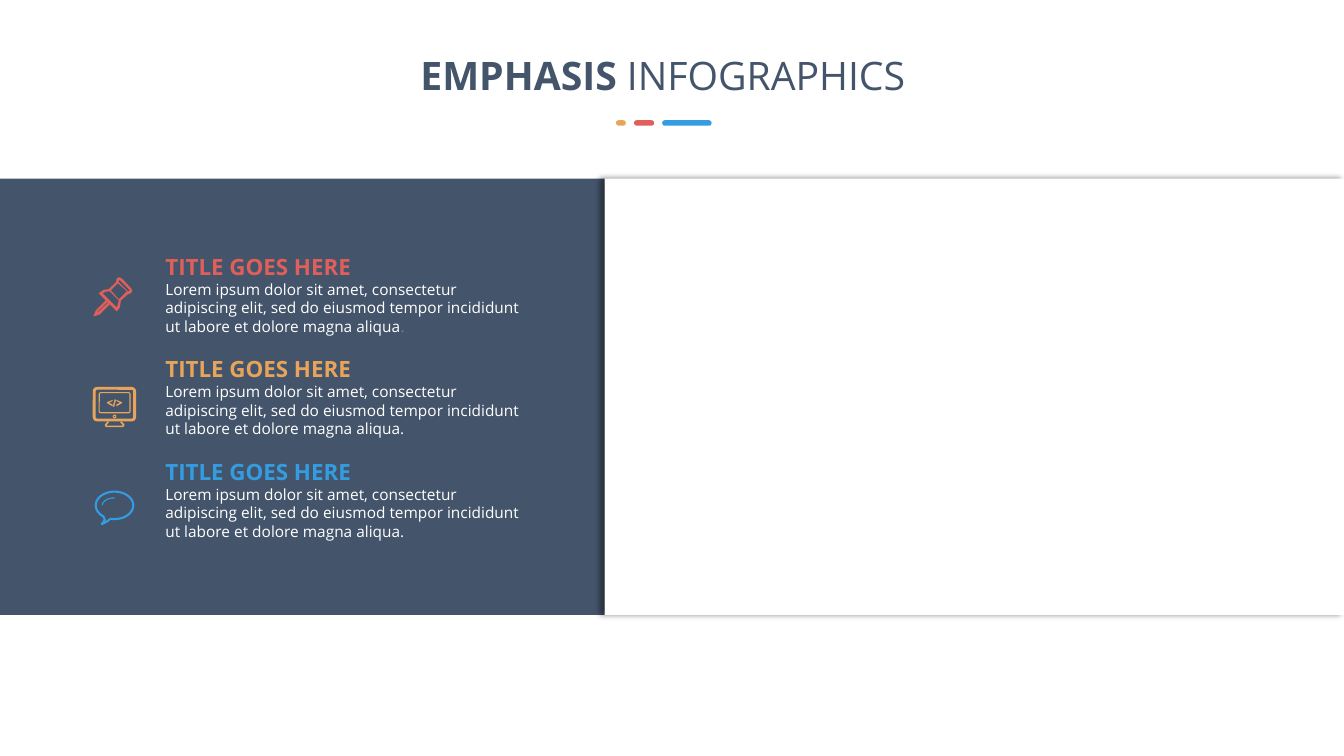
from copy import deepcopy
from dataclasses import dataclass
from math import cos, radians, sin

from lxml import etree
from pptx import Presentation
from pptx.dml.color import RGBColor
from pptx.enum.shapes import MSO_SHAPE
from pptx.enum.text import MSO_ANCHOR, MSO_AUTO_SIZE, PP_ALIGN
from pptx.oxml.ns import qn
from pptx.util import Pt

RECT, ROUND, OVAL = MSO_SHAPE.RECTANGLE, MSO_SHAPE.ROUNDED_RECTANGLE, MSO_SHAPE.OVAL
MIDDLE, CENTER, FIXED = MSO_ANCHOR.MIDDLE, PP_ALIGN.CENTER, MSO_AUTO_SIZE.NONE
FACE = "Open Sans"
HUES = {"slate": "44546A", "white": "FFFFFF", "red": "DF5F5A",
        "amber": "E8A45B", "blue": "349DE1", "grey": "808080", "black": "000000"}
LOREM = ("Lorem ipsum dolor sit amet, consectetur adipiscing elit, "
         "sed do eiusmod tempor incididunt ut labore et dolore magna aliqua")
Dots = list[tuple[float, float]]


@dataclass
class Item:
    hue: str
    stop: str  # colour of the closing full stop


@dataclass
class Bar:
    left: float
    width: float
    hue: str


ITEMS = [Item("red", "grey"), Item("amber", "white"), Item("blue", "white")]
BARS = [Bar(473, 35.3, "blue"), Bar(452.9, 14.4, "red"), Bar(440, 7, "amber")]

PIN = [
    [(20.2, 16.6), (25.2, 12.2), (27.4, 11.5), (28.4, 9.7), (27.4, 7.9), (20.9, 0.9),
     (19.1, 0.1), (17.3, 0.7), (16.6, 3.6), (11.5, 8.6), (7.9, 9), (4.3, 11.5),
     (9.4, 16.6), (2.2, 23.8), (0.4, 28.1), (5, 26.6), (12.2, 19.4), (17.3, 24.5),
     (19.4, 21.6)],
    [(19.4, 2.2), (26.6, 9.4), (25.2, 10.1), (18.7, 3.6), (18.4, 2.5)],
    [(18.7, 15.8), (13, 9.4), (18, 4.3), (24.5, 10.1)],
    [(3.6, 25.2), (3.6, 24.5), (10.8, 17.6), (11.2, 18)],
    [(13.7, 18), (7.2, 11.5), (9.4, 10.4), (12.2, 10.1), (18.7, 16.6), (17.3, 21.6)],
]
STAND = [(77.4, 301.2), (75.4, 303.6), (76, 304.6), (87.7, 304.6), (88.4, 303.6), (86.2, 301.2)]
ANGLE = [(76.5, 288), (80.4, 290.2), (80.4, 288.9), (77.8, 287.6),
         (80.4, 286.5), (80.4, 285.7), (76.5, 287.2)]
SLASH = [(82.4, 285.3), (81.1, 290.5)]
TAIL = [(76.3, 372.6), (72.7, 374.4), (74.9, 371.5)]


def tint(name: str) -> RGBColor:
    return RGBColor.from_string(HUES[name])


def paint(shape, hue: str, weight: float = 0):
    """Fill the shape, or only stroke it when a weight is given."""
    shape.shadow.inherit = False
    if weight:
        shape.fill.background()
        shape.line.color.rgb = tint(hue)
        shape.line.width = Pt(weight)
    else:
        shape.fill.solid()
        shape.fill.fore_color.rgb = tint(hue)
        shape.line.fill.background()
    return shape


def block(shapes, kind, box: tuple, hue: str, weight: float = 0, bend: float = 0):
    shape = shapes.add_shape(kind, *(Pt(n) for n in box))
    if kind == ROUND:
        shape.adjustments[0] = bend
    return paint(shape, hue, weight)


def sketch(shapes, loops: list[Dots], hue: str, weight: float = 0, shut: bool = True):
    """Draw one outline from several loops; inner loops become holes."""
    pen = None
    for loop in loops:
        spots = [(Pt(x), Pt(y)) for x, y in loop]
        if pen is None:
            pen = shapes.build_freeform(*spots[0])
        else:
            pen.move_to(*spots[0])
        pen.add_line_segments(spots[1:], close=shut)
    return paint(pen.convert_to_shape(), hue, weight)


def arc(mid: tuple, radii: tuple, start: int, end: int) -> Dots:
    return [(mid[0] + radii[0] * cos(radians(a)), mid[1] + radii[1] * sin(radians(a)))
            for a in range(start, end + 1, 6)]


def write(para, text: str, size: float, hue: str, bold: bool = False):
    run = para.add_run()
    run.text = text
    run.font.name, run.font.size, run.font.bold = FACE, Pt(size), bold
    run.font.color.rgb = tint(hue)
    return run


def place(shape, *box: float) -> None:
    shape.left, shape.top, shape.width, shape.height = (Pt(n) for n in box)


def cast(shape) -> None:
    """Give the shape a soft shadow to its left."""
    glow = etree.SubElement(shape.element.spPr.find(qn("a:effectLst")), qn("a:outerShdw"),
                            blurRad=str(Pt(4)), dist=str(Pt(3)), dir="10800000",
                            algn="r", rotWithShape="0")
    shade = etree.SubElement(glow, qn("a:srgbClr"), val=HUES["black"])
    etree.SubElement(shade, qn("a:alpha"), val="40000")


def add_item(shapes, item: Item, top: float) -> None:
    frame = shapes.add_textbox(Pt(118.1), Pt(top), Pt(253.4), Pt(59)).text_frame
    frame.word_wrap = True
    frame.vertical_anchor = MIDDLE
    frame.margin_left = frame.margin_right = frame.margin_top = frame.margin_bottom = 0
    para = frame.paragraphs[0]
    para.space_after = Pt(12)
    head = write(para, "TITLE GOES HERE", 16, item.hue, True)
    para.add_line_break()
    para._p[-1].append(deepcopy(head._r.rPr))  # the break keeps the heading size
    write(para, LOREM, 11, "white")
    write(para, ".", 11, item.stop)


def add_icons(shapes) -> None:
    sketch(shapes, [[(x + 66.2, y + 198) for x, y in loop] for loop in PIN], "red")
    flip = [(163.6 - x, y) for x, y in ANGLE]
    shapes.add_group_shape([
        block(shapes, ROUND, (67.3, 277.4, 28.9, 22.6), "amber", 2, 0.09),
        block(shapes, ROUND, (70.9, 280.5, 22, 14.4), "amber", 0.8, 0.08),
        block(shapes, OVAL, (80.9, 296.5, 1.9, 1.9), "amber", 0.8),
        sketch(shapes, [STAND], "amber", 1.2, False),
        sketch(shapes, [ANGLE], "amber"),
        sketch(shapes, [SLASH], "amber", 1, False),
        sketch(shapes, [flip], "amber"),
    ])
    shapes.add_group_shape([
        sketch(shapes, [arc((82, 361), (8.9, 5.4), 180, 270)], "blue", 0.8, False),
        sketch(shapes, [arc((81.8, 361), (13.4, 9.8), 126, 462) + TAIL], "blue", 1.5),
    ])


def main() -> None:
    deck = Presentation()
    deck.slide_width, deck.slide_height = Pt(960), Pt(540)
    slide = deck.slides.add_slide(deck.slide_layouts[5])
    shapes = slide.shapes

    title = shapes.title
    place(title, 288, 33.1, 370.8, 41)
    title.text_frame.auto_size = FIXED
    title.text_frame.vertical_anchor = MIDDLE
    para = title.text_frame.paragraphs[0]
    para.alignment = CENTER
    write(para, "EMPHASIS ", 28, "slate", True)
    write(para, "INFOGRAPHICS", 28, "slate")

    block(shapes, RECT, (0, 127.6, 432, 311.7), "slate")
    cast(block(shapes, RECT, (432, 127.6, 528, 311.7), "white"))
    for row, item in enumerate(ITEMS):
        add_item(shapes, item, 180.8 + row * 73.1)
    add_icons(shapes)
    shapes.add_group_shape([
        block(shapes, ROUND, (bar.left, 85.9, bar.width, 3.9), bar.hue, bend=0.5)
        for bar in BARS])
    deck.save("out.pptx")


if __name__ == "__main__":
    main()
